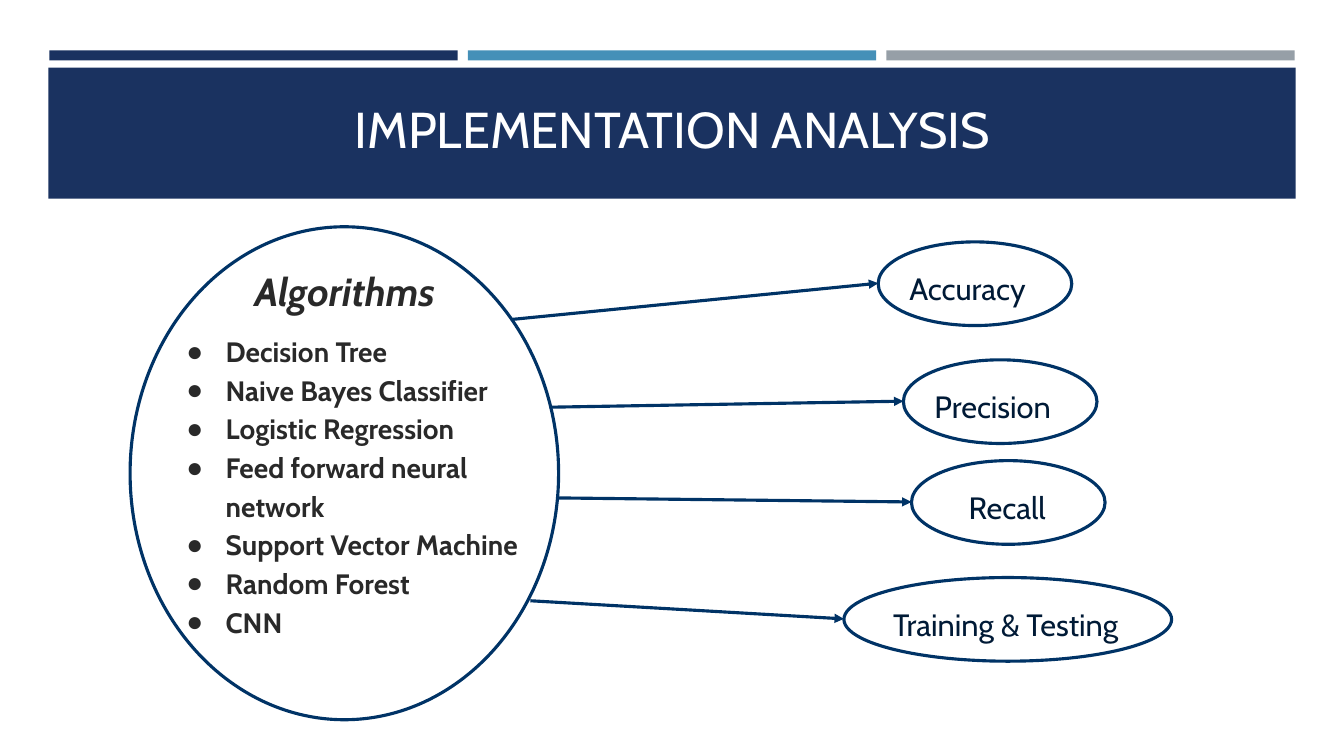
from dataclasses import dataclass

from lxml import etree
from pptx import Presentation
from pptx import util as u
from pptx.dml.color import RGBColor
from pptx.enum import shapes, text
from pptx.oxml import ns

EMU_PER_PX = 9144


def px(length):
    return u.Emu(length * EMU_PER_PX)


@dataclass(frozen=True)
class Theme:
    font: str = "Cabin"
    navy: str = "1A3260"
    blue: str = "4590B8"
    gray: str = "969FA7"
    white: str = "FFFFFF"
    outline: str = "003366"
    label: str = "001A36"
    body: str = "292929"
    title_size: int = 36
    heading_size: int = 28
    label_size: int = 22
    body_size: int = 20
    line_width: float = 2.25


def add_child(parent, tag, **attributes):
    return etree.SubElement(parent, ns.qn(tag), **attributes)


def write_paragraph(paragraph, content, *, font, size, color, bold=False,
                    italic=False, align=text.PP_ALIGN.LEFT, spacing=1.15,
                    bullet=None):
    paragraph.alignment = align
    paragraph.line_spacing = spacing
    if bullet:
        properties = paragraph._p.get_or_add_pPr()
        properties.set("marL", str(px(50)))
        properties.set("indent", str(px(-39)))
        bullet_color = add_child(properties, "a:buClr")
        add_child(bullet_color, "a:srgbClr", val=color)
        add_child(properties, "a:buFont", typeface="Arial")
        add_child(properties, "a:buChar", char=bullet)
    run = paragraph.add_run()
    run.text = content
    run.font.name = font
    run.font.size = u.Pt(size)
    run.font.bold = bold
    run.font.italic = italic
    run.font.color.rgb = RGBColor.from_string(color)


class SlideBuilder:
    def __init__(self, slide, theme):
        self.slide = slide
        self.theme = theme

    def shape(self, kind, left, top, width, height, fill, line=None):
        shape = self.slide.shapes.add_shape(
            kind, px(left), px(top), px(width), px(height))
        shape.shadow.inherit = False
        shape.fill.solid()
        shape.fill.fore_color.rgb = RGBColor.from_string(fill)
        if line:
            shape.line.color.rgb = RGBColor.from_string(line)
            shape.line.width = u.Pt(self.theme.line_width)
        else:
            shape.line.fill.background()

    def bar(self, left, top, width, height, fill):
        self.shape(shapes.MSO_SHAPE.RECTANGLE, left, top, width, height, fill)

    def ellipse(self, left, top, width, height):
        self.shape(shapes.MSO_SHAPE.OVAL, left, top, width, height,
                   self.theme.white, self.theme.outline)

    def text(self, left, top, width, height, lines,
             anchor=text.MSO_ANCHOR.TOP, **style):
        box = self.slide.shapes.add_textbox(
            px(left), px(top), px(width), px(height))
        frame = box.text_frame
        frame.word_wrap = True
        frame.vertical_anchor = anchor
        frame.margin_left = frame.margin_right = px(10)
        frame.margin_top = frame.margin_bottom = px(10)
        for index, line in enumerate(lines):
            paragraph = frame.add_paragraph() if index else frame.paragraphs[0]
            write_paragraph(paragraph, line, font=self.theme.font, **style)

    def arrow(self, start, end):
        connector = self.slide.shapes.add_connector(
            shapes.MSO_CONNECTOR.STRAIGHT, *map(px, start), *map(px, end))
        connector.line.color.rgb = RGBColor.from_string(self.theme.outline)
        connector.line.width = u.Pt(self.theme.line_width)
        add_child(connector.line._get_or_add_ln(), "a:tailEnd", type="triangle")
        add_child(connector._element.spPr, "a:effectLst")


def main():
    presentation = Presentation()
    presentation.slide_width = px(1333)
    presentation.slide_height = px(750)
    theme = Theme()
    builder = SlideBuilder(
        presentation.slides.add_slide(presentation.slide_layouts[6]), theme)

    for column, color in enumerate((theme.navy, theme.blue, theme.gray)):
        builder.bar(49 + column * 415, 50, 405, 10, color)
    builder.bar(48, 67, 1237, 130, theme.navy)
    builder.text(64, 77, 1206, 111, ["IMPLEMENTATION ANALYSIS"],
                 anchor=text.MSO_ANCHOR.MIDDLE, size=theme.title_size,
                 color=theme.white, align=text.PP_ALIGN.CENTER, spacing=0.85)

    builder.ellipse(129, 225, 425, 489)
    algorithms = ["Decision Tree", "Naive Bayes Classifier",
                  "Logistic Regression", "Feed forward neural network",
                  "Support Vector Machine", "Random Forest", "CNN"]
    builder.text(164, 317, 410, 330, algorithms, size=theme.body_size,
                 color=theme.body, bold=True, bullet="●")
    builder.text(137, 248, 410, 74, ["Algorithms"], size=theme.heading_size,
                 color=theme.body, bold=True, italic=True,
                 align=text.PP_ALIGN.CENTER)

    outcome_height = 83
    outcomes = [
        ("Accuracy", 871, 240, 192, 21, (507, 317)),
        ("Precision", 896, 357, 192, 21, (545, 404)),
        ("Recall", 904, 457, 192, 47, (554, 494)),
        ("Training & Testing", 837, 573, 325, 39, (526, 596)),
    ]
    for name, left, top, width, text_offset, arrow_start in outcomes:
        builder.ellipse(left, top, width, outcome_height)
        builder.text(left + text_offset, top + 12, width - 29, 63, [name],
                     size=theme.label_size, color=theme.label)
        builder.arrow(arrow_start, (left, top + outcome_height // 2))

    presentation.save("out.pptx")


if __name__ == "__main__":
    main()
